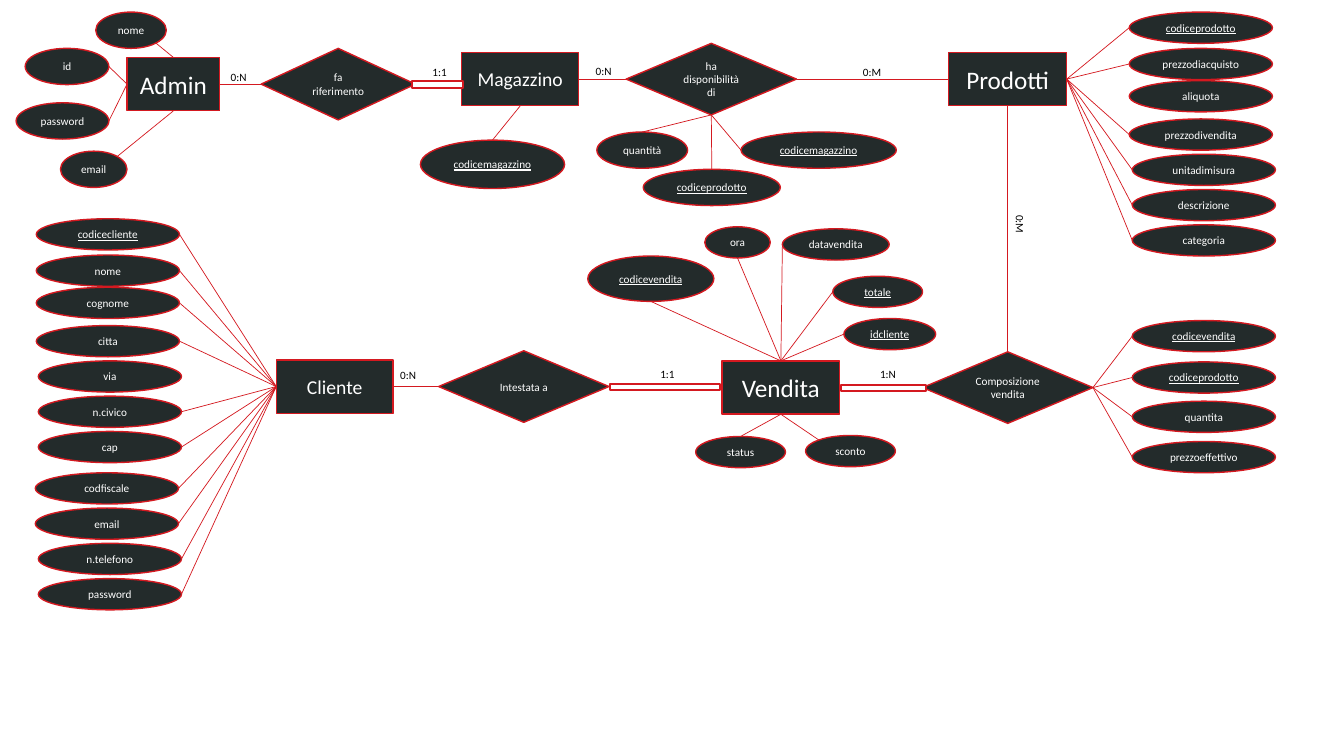
from lxml import etree
from pptx import Presentation, util as u
from pptx.dml.color import RGBColor
from pptx.enum import shapes, text
from pptx.oxml.ns import qn

COLORS = {"node": "232B2B", "edge": "D41920", "light": "FFFFFF", "dark": "000000"}
FONT = "Calibri"
CELL = 0.1  # side of one grid square in inches; all places count squares
ENTITY = shapes.MSO_SHAPE.RECTANGLE
RELATION = shapes.MSO_SHAPE.DIAMOND
ATTRIBUTE = shapes.MSO_SHAPE.OVAL
KEYS = {"codiceprodotto", "codicemagazzino", "codicevendita",
        "codicecliente", "totale", "idcliente"}
# Where a line meets a box, as shares of its width and height
SIDES = {"T": (0.5, 0), "B": (0.5, 1), "L": (0, 0.5), "R": (1, 0.5),
         "TL": (0.15, 0.15), "TR": (0.85, 0.15), "BR": (0.85, 0.85)}


def rgb(name):
    return RGBColor.from_string(COLORS[name])


def grid(*cells):
    return [u.Inches(c * CELL) for c in cells]


def outlined(s, kind, box, fill, width):
    sp = s.shapes.add_shape(kind, *grid(*box))
    sp.shadow.inherit = False
    sp.fill.solid()
    sp.fill.fore_color.rgb = rgb(fill)
    sp.line.color.rgb = rgb("edge")
    sp.line.width = u.Pt(width)
    return sp


def write(tf, words, size, color):
    p = tf.paragraphs[0]
    p.text = words
    p.font.size = u.Pt(size)
    p.font.name = FONT
    p.font.color.rgb = rgb(color)
    return p


def node(s, kind, box, words, size=8):
    tf = outlined(s, kind, box, "node", 1).text_frame
    tf.vertical_anchor = text.MSO_ANCHOR.MIDDLE
    tf.word_wrap = kind != ATTRIBUTE
    if kind == RELATION:
        tf.margin_left = tf.margin_right = u.Inches(0.095)
    p = write(tf, words, size, "light")
    p.alignment = text.PP_ALIGN.CENTER
    if kind == ATTRIBUTE and words in KEYS:
        p.font.underline = True


def link(s, box, side, other, other_side):
    ends = []
    for (x, y, w, h), key in ((box, side), (other, other_side)):
        fx, fy = SIDES[key]
        ends += grid(x + w * fx, y + h * fy)
    line = s.shapes.add_connector(shapes.MSO_CONNECTOR.STRAIGHT, *ends)
    line.line.color.rgb = rgb("edge")
    line.line.width = u.Pt(0.5)
    etree.SubElement(line._element.spPr, qn("a:effectLst"))


def double_link(s, x, y, w):
    outlined(s, shapes.MSO_SHAPE.MATH_MINUS, (x, y, w, 2.8), "light", 1.5)


def cardinality(s, words, x, y, turn=0):
    sp = s.shapes.add_textbox(*grid(x, y, 3.9, 2.4))
    sp.rotation = turn
    sp.text_frame.word_wrap = False
    write(sp.text_frame, words, 8, "dark")


def cloud(s, hub, attributes):
    """Attributes scattered around a hub, offset from its top left corner."""
    for words, dx, dy, w, h, side, hub_side in attributes:
        box = (hub[0] + dx, hub[1] + dy, w, h)
        node(s, ATTRIBUTE, box, words)
        link(s, box, side, hub, hub_side)


def stack(s, hub, dx, side, hub_side, attributes, unlinked=()):
    """A column of equal attributes beside a hub, each with its own shift."""
    for words, shift, dy in attributes:
        box = (hub[0] + dx + shift, hub[1] + dy, 14.2, 3.1)
        node(s, ATTRIBUTE, box, words)
        if words not in unlinked:
            link(s, box, side, hub, hub_side)


def admin(s, box):
    node(s, ENTITY, box, "Admin", 18)
    cloud(s, box, [("id", -10.1, -0.9, 8.3, 3.6, "R", "L"),
                   ("nome", -3.1, -4.5, 7, 3.6, "BR", "T"),
                   ("email", -6.6, 9.3, 6.6, 3.6, "TR", "B"),
                   ("password", -11, 4.5, 9.2, 3.6, "R", "L")])


def magazzino(s, box):
    node(s, ENTITY, box, "Magazzino", 14)
    cloud(s, box, [("codicemagazzino", -4.1, 8.7, 14.3, 4.8, "T", "B")])


def disponibilita(s, box):
    node(s, RELATION, box, "ha disponibilità di")
    cloud(s, box, [("quantità", -2.9, 8.8, 9, 3.6, "T", "B"),
                   ("codiceprodotto", 1.7, 12.5, 13.6, 3.6, "T", "B"),
                   ("codicemagazzino", 11.4, 8.8, 15.4, 3.6, "L", "B")])


def prodotti(s, box):
    node(s, ENTITY, box, "Prodotti", 18)
    stack(s, box, 17.9, "L", "R",
          [("codiceprodotto", 0, -4), ("prezzodiacquisto", 0, -0.4),
           ("aliquota", 0, 2.8), ("prezzodivendita", 0, 6.6),
           ("unitadimisura", 0.3, 10.1), ("descrizione", 0.3, 13.6),
           ("categoria", 0.3, 17.1)], unlinked=("aliquota",))


def cliente(s, box):
    node(s, ENTITY, box, "Cliente", 14)
    stack(s, box, -23.8, "R", "L",
          [("codicecliente", 0, -14), ("nome", 0, -10.4), ("cognome", 0, -7.2),
           ("citta", 0, -3.4), ("via", 0.2, 0.1), ("n.civico", 0.2, 3.6),
           ("cap", 0.2, 7.1), ("codfiscale", -0.1, 11.2), ("email", -0.1, 14.7),
           ("n.telefono", 0.2, 18.2), ("password", 0.2, 21.7)], unlinked=("via",))


def vendita(s, box):
    node(s, ENTITY, box, "Vendita", 18)
    cloud(s, box, [("datavendita", 6, -13.1, 10.6, 3.1, "L", "T"),
                   ("ora", -1.7, -13.3, 6.5, 3.1, "B", "T"),
                   ("codicevendita", -13.3, -10.4, 12.5, 4.5, "B", "T"),
                   ("totale", 11, -8.4, 8.9, 3.1, "L", "T"),
                   ("idcliente", 12.1, -4.2, 9.1, 3.1, "L", "T"),
                   ("sconto", 8.3, 7.4, 8.9, 3.1, "TL", "B"),
                   ("status", -2.6, 7.5, 8.9, 3.1, "T", "B")])


def composizione(s, box):
    node(s, RELATION, box, "Composizione vendita")
    stack(s, box, 20.8, "L", "R",
          [("codicevendita", 0, -3.1), ("codiceprodotto", 0, 1),
           ("quantita", 0, 4.9), ("prezzoeffettivo", 0, 8.9)])


def main():
    prs = Presentation()
    prs.slide_width, prs.slide_height = u.Inches(13.33), u.Inches(7.5)
    s = prs.slides.add_slide(prs.slide_layouts[6])

    # Entities and relations with their attributes
    hubs = {admin: (12.6, 5.7, 9.2, 5.3), magazzino: (45.8, 5.2, 11.6, 5.3),
            disponibilita: (62.1, 4.3, 16.9, 7.1), prodotti: (94.1, 5.2, 11.7, 5.3),
            cliente: (27.4, 35.7, 11.6, 5.3), vendita: (71.6, 35.8, 11.7, 5.3),
            composizione: (91.5, 34.9, 16.9, 7.1)}
    for region, box in hubs.items():
        region(s, box)
    riferimento = (25.9, 4.8, 15.3, 7.1)
    intestata = (43.5, 34.8, 16.9, 7.1)
    node(s, RELATION, riferimento, "fa riferimento")
    node(s, RELATION, intestata, "Intestata a")

    # Partial participation: single lines
    link(s, hubs[admin], "R", riferimento, "L")
    link(s, hubs[magazzino], "R", hubs[disponibilita], "L")
    link(s, hubs[disponibilita], "R", hubs[prodotti], "L")
    link(s, hubs[prodotti], "B", hubs[composizione], "T")
    link(s, hubs[cliente], "R", intestata, "L")

    # Total participation: double lines
    for x, y, w in [(40, 7, 6.8), (81.9, 37.1, 11.5), (58.5, 37, 14.9)]:
        double_link(s, x, y, w)

    # Cardinalities
    for words, x, y in [("0:N", 21.9, 6.5), ("1:1", 41.9, 6), ("0:N", 58.1, 5.9),
                        ("0:M", 84.6, 6), ("1:N", 86.3, 36), ("1:1", 64.5, 36),
                        ("0:N", 38.7, 36.1)]:
        cardinality(s, words, x, y)
    cardinality(s, "0:M", 99.2, 21.1, turn=90)

    prs.save("out.pptx")


if __name__ == "__main__":
    main()
